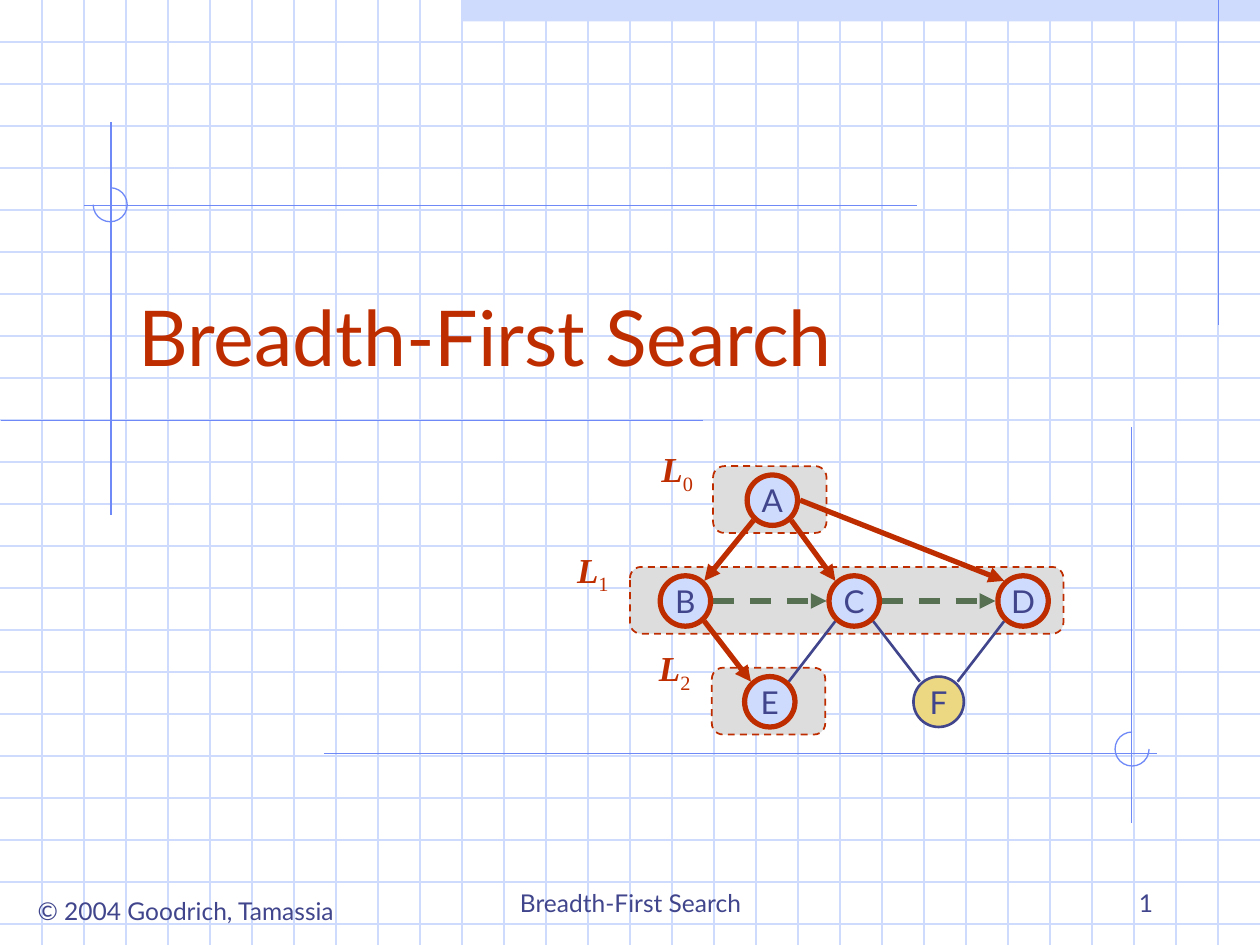
from dataclasses import dataclass

from lxml import etree
from pptx import Presentation
from pptx.dml.color import RGBColor
from pptx.enum.dml import MSO_LINE
from pptx.enum.shapes import MSO_CONNECTOR, MSO_SHAPE
from pptx.enum.text import MSO_ANCHOR, PP_ALIGN
from pptx.oxml.ns import qn
from pptx.util import Inches, Pt

STRAIGHT = MSO_CONNECTOR.STRAIGHT
RECTANGLE, ROUNDED = MSO_SHAPE.RECTANGLE, MSO_SHAPE.ROUNDED_RECTANGLE
OVAL, ARC = MSO_SHAPE.OVAL, MSO_SHAPE.ARC
DASH = MSO_LINE.DASH
LEFT, CENTER, RIGHT = PP_ALIGN.LEFT, PP_ALIGN.CENTER, PP_ALIGN.RIGHT
TOP, MIDDLE, BOTTOM = MSO_ANCHOR.TOP, MSO_ANCHOR.MIDDLE, MSO_ANCHOR.BOTTOM


@dataclass(frozen=True)
class Theme:
    pale = RGBColor.from_string("CFDBFD")
    blue = RGBColor.from_string("6F89F7")
    navy = RGBColor.from_string("40458C")
    red = RGBColor.from_string("BE2D00")
    green = RGBColor.from_string("577052")
    gray = RGBColor.from_string("DDDDDD")
    yellow = RGBColor.from_string("ECD882")
    sans = "Lato"
    serif = "Times New Roman"
    title_size = Pt(44)
    label_size = Pt(20)
    node_size = Pt(18)
    footer_size = Pt(14)
    hairline = Pt(0.75)
    box_line = Pt(1)
    thin = Pt(1.5)
    thick = Pt(3)


theme = Theme()
deck = Presentation()
deck.slide_width, deck.slide_height = Inches(10), Inches(7.5)
page = deck.slides.add_slide(deck.slide_layouts[6])


def add_line(start, end, color, width, arrow=False, dash=None):
    line = page.shapes.add_connector(
        STRAIGHT, *(Inches(value) for value in (*start, *end)))
    line.line.color.rgb = color
    line.line.width = width
    if dash:
        line.line.dash_style = dash
    if arrow:
        etree.SubElement(line.line._get_or_add_ln(), qn("a:tailEnd"), type="triangle")
    etree.SubElement(line._element.spPr, qn("a:effectLst"))


def write_text(box, text, size, color, align, anchor, wrap=True):
    """Set the text of a box in the sans font and return its paragraph."""
    frame = box.text_frame
    frame.word_wrap = wrap
    frame.vertical_anchor = anchor
    para = frame.paragraphs[0]
    para.alignment = align
    para.font.name = theme.sans
    para.font.size = size
    para.font.color.rgb = color
    para.add_run().text = text
    return para


# Background grid, three squares to the inch, under a band at the top
band = page.shapes.add_shape(RECTANGLE, Inches(3.67), 0, Inches(6.33), Inches(0.17))
band.shadow.inherit = False
band.fill.solid()
band.fill.fore_color.rgb = theme.pale
band.line.fill.background()
for step in range(1, 23):
    add_line((0, step / 3), (10, step / 3), theme.pale, theme.hairline)
for step in range(1, 30):
    add_line((step / 3, 0), (step / 3, 7.5), theme.pale, theme.hairline)

# Drafting lines, with a three-quarter arc at two of the crossings
drafting_lines = [
    ((9.67, 0), (9.67, 2.58)),
    ((0.88, 0.97), (0.88, 4.09)),
    ((0.01, 3.34), (5.58, 3.34)),
    ((0.67, 1.63), (7.28, 1.63)),
    ((2.57, 5.98), (9.18, 5.98)),
    ((8.98, 3.39), (8.98, 6.53)),
]
for start, end in drafting_lines:
    add_line(start, end, theme.blue, theme.hairline)

# Angles in degrees, clockwise from the right
for left, top, start_angle, end_angle in [(0.74, 1.49, 270, 180), (8.85, 5.81, 0, 270)]:
    arc = page.shapes.add_shape(ARC, Inches(left), Inches(top), Inches(0.27), Inches(0.27))
    arc.adjustments[0] = start_angle * 0.6
    arc.adjustments[1] = end_angle * 0.6
    arc.shadow.inherit = False
    arc.fill.background()
    arc.line.color.rgb = theme.blue
    arc.line.width = theme.hairline

# Title and footers
texts = [
    ("© 2004 Goodrich, Tamassia", (0.12, 7.06, 2.71, 0.34),
     theme.footer_size, theme.navy, CENTER, TOP, False),
    ("Breadth-First Search", (3.42, 6.83, 3.17, 0.5),
     theme.footer_size, theme.navy, CENTER, BOTTOM, True),
    ("1", (7.17, 6.83, 2.08, 0.5),
     theme.footer_size, theme.navy, RIGHT, BOTTOM, True),
    ("Breadth-First Search", (1, 1.83, 8.5, 1.25),
     theme.title_size, theme.red, LEFT, BOTTOM, True),
]
for text, place, *style in texts:
    box = page.shapes.add_textbox(*(Inches(value) for value in place))
    write_text(box, text, *style)

# Levels of the search: box left, top and width, then label left and top
levels = [
    (5.66, 3.7, 0.9, 5.12, 3.5),
    (5, 4.5, 3.44, 4.45, 4.3),
    (5.65, 5.3, 0.9, 5.1, 5.08),
]
for number, (left, top, width, label_left, label_top) in enumerate(levels):
    level = page.shapes.add_shape(
        ROUNDED, Inches(left), Inches(top), Inches(width), Inches(0.53))
    level.adjustments[0] = 0.167
    level.shadow.inherit = False
    level.fill.solid()
    level.fill.fore_color.rgb = theme.gray
    level.line.color.rgb = theme.red
    level.line.width = theme.box_line
    level.line.dash_style = DASH

    label = page.shapes.add_textbox(
        Inches(label_left), Inches(label_top), Inches(0.51), Inches(0.48))
    para = write_text(label, "L", theme.label_size, theme.red, CENTER, TOP)
    para.font.name = theme.serif
    para.runs[0].font.bold = True
    para.runs[0].font.italic = True
    subscript = para.add_run()
    subscript.text = str(number)
    subscript._r.get_or_add_rPr().set("baseline", "-25000")

# Graph: node centres, and where edges meet a node relative to its centre
nodes = {
    "A": (6.13, 3.97),
    "B": (5.44, 4.77), "C": (6.78, 4.77), "D": (8.12, 4.77),
    "E": (6.11, 5.57), "F": (7.45, 5.57),
}
ports = {
    "left": (-0.22, 0), "right": (0.22, 0),
    "upper left": (-0.15, -0.16), "upper right": (0.15, -0.16),
    "lower left": (-0.15, 0.16), "lower right": (0.15, 0.16),
}
tree = (theme.red, theme.thick, True)
cross = (theme.green, theme.thick, True, DASH)
plain = (theme.navy, theme.thin)
edges = [
    ("A", "lower left", "B", "upper right", tree),
    ("A", "lower right", "C", "upper left", tree),
    ("A", "right", "D", "upper left", tree),
    ("B", "lower right", "E", "upper left", tree),
    ("B", "right", "C", "left", cross),
    ("C", "right", "D", "left", cross),
    ("C", "lower left", "E", "upper right", plain),
    ("C", "lower right", "F", "upper left", plain),
    ("D", "lower left", "F", "upper right", plain),
]
for source, source_port, target, target_port, style in edges:
    start, end = (
        [center + offset for center, offset in zip(nodes[name], ports[port])]
        for name, port in ((source, source_port), (target, target_port)))
    add_line(start, end, *style)

for name, (x, y) in nodes.items():
    visited = name != "F"
    node = page.shapes.add_shape(
        OVAL, Inches(x - 0.2), Inches(y - 0.2), Inches(0.4), Inches(0.4))
    node.shadow.inherit = False
    node.fill.solid()
    node.fill.fore_color.rgb = theme.pale if visited else theme.yellow
    node.line.color.rgb = theme.red if visited else theme.navy
    node.line.width = theme.thick if visited else theme.thin
    write_text(node, name, theme.node_size, theme.navy, CENTER, MIDDLE, wrap=False)

deck.save("out.pptx")
